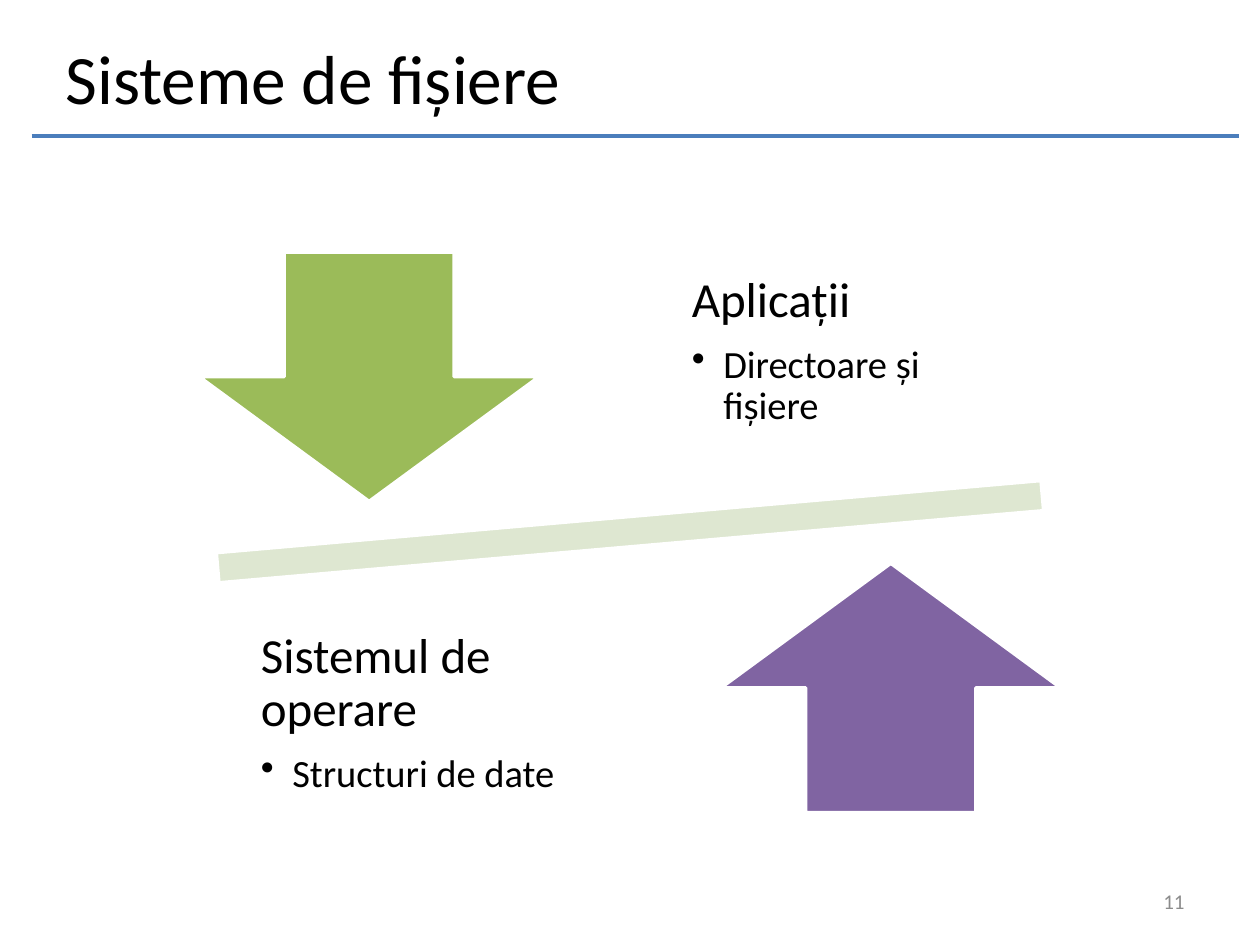
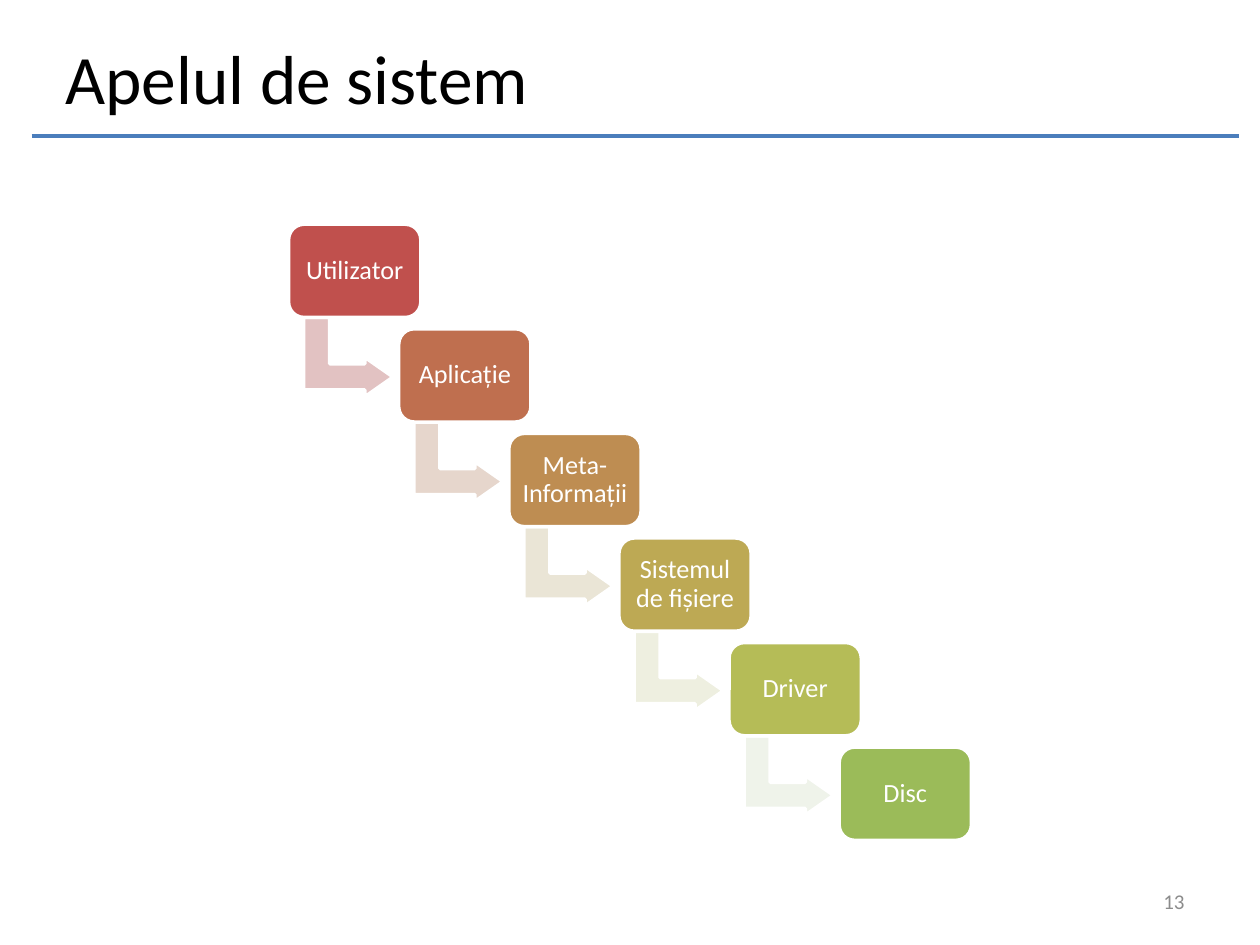
import pptx
import pptx.dml.color
import pptx.enum.shapes
import pptx.enum.text
import pptx.oxml.ns
import pptx.util
from lxml import etree

Inches = pptx.util.Inches
Pt = pptx.util.Pt
Shape = pptx.enum.shapes.MSO_SHAPE
Align = pptx.enum.text.PP_ALIGN
Anchor = pptx.enum.text.MSO_ANCHOR
qn = pptx.oxml.ns.qn


def color(code):
    return pptx.dml.color.RGBColor.from_string(code)


class Deck:
    """Hold the shared style and the current slide, and draw elements on it."""

    font = "Calibri"
    ink = "000000"
    paper = "FFFFFF"
    rule = "4B7EBC"
    gray = "8C8C8C"

    def __init__(self):
        self.file = pptx.Presentation()
        self.file.slide_width = Inches(10)
        self.file.slide_height = Inches(7.5)
        self.slide = None

    def start(self, title, number):
        self.slide = self.file.slides.add_slide(self.file.slide_layouts[5])
        self.line(0.25, 1.08, 9.83, 1.08)
        head = self.slide.shapes.title
        head.left, head.top = Inches(0.42), Inches(0.3)
        head.width, head.height = Inches(7.83), Inches(0.62)
        self.fill(head.text_frame, [title], [39.6], self.ink)
        self.text(7.17, 6.95, 2.33, 0.4, [str(number)], [12], self.gray,
                  align=Align.RIGHT)

    def line(self, x1, y1, x2, y2):
        ends = [Inches(n) for n in (x1, y1, x2, y2)]
        line = self.slide.shapes.add_connector(
            pptx.enum.shapes.MSO_CONNECTOR.STRAIGHT, *ends)
        line.line.color.rgb = color(self.rule)
        line.line.width = Pt(2)
        etree.SubElement(line._element.spPr, qn("a:effectLst"))

    def shape(self, kind, x, y, wide, high, fill, turn=0, adjust=()):
        box = [Inches(n) for n in (x, y, wide, high)]
        shape = self.slide.shapes.add_shape(kind, *box)
        shape.shadow.inherit = False
        shape.fill.solid()
        shape.fill.fore_color.rgb = color(fill)
        shape.line.color.rgb = color(self.paper)
        shape.line.width = Pt(2)
        shape.rotation = turn
        for index, value in enumerate(adjust):
            shape.adjustments[index] = value
        return shape

    def text(self, x, y, wide, high, lines, sizes, ink, **style):
        box = [Inches(n) for n in (x, y, wide, high)]
        frame = self.slide.shapes.add_textbox(*box).text_frame
        self.fill(frame, lines, sizes, ink, **style)

    def fill(self, frame, lines, sizes, ink, align=Align.LEFT, inset=None,
             tight=False):
        frame.word_wrap = True
        frame.auto_size = pptx.enum.text.MSO_AUTO_SIZE.NONE
        frame.vertical_anchor = Anchor.MIDDLE
        if inset is not None:
            frame.margin_left = frame.margin_right = Inches(inset)
            frame.margin_top = frame.margin_bottom = Inches(inset)
        for index, (line, size) in enumerate(zip(lines, sizes)):
            para = frame.paragraphs[0] if index == 0 else frame.add_paragraph()
            para.text = line
            if index:
                self.bullet(para)
            para.alignment = align
            if tight:
                para.line_spacing = 0.9
                para.space_after = Pt(round(size * (0.15 if index else 0.35), 1))
            para.font.name = self.font
            para.font.size = Pt(size)
            para.font.color.rgb = color(ink)

    def bullet(self, para):
        para.level = 1
        props = para._p.get_or_add_pPr()
        props.set("marL", str(Inches(0.25)))
        props.set("indent", str(-Inches(0.25)))
        etree.SubElement(props, qn("a:buChar")).set("char", "•")

    def side(self, x, y, head, item):
        self.text(x, y, 2.88, 2.08, [head, item], [28, 22], self.ink,
                  inset=0.22, tight=True)

    def step(self, x, y, label, fill):
        card = self.shape(Shape.ROUNDED_RECTANGLE, x, y, 1.05, 0.74, fill,
                          adjust=[0.167])
        self.fill(card.text_frame, [label], [15], self.paper,
                  align=Align.CENTER, inset=0.06, tight=True)


def files(deck):
    deck.start("Sisteme de fișiere", 11)
    deck.shape(Shape.MATH_MINUS, 0.53, 3.71, 8.94, 1.02, "DEE7D1", turn=355)
    deck.shape(Shape.DOWN_ARROW, 1.58, 2, 2.7, 1.98, "9BBB59")
    deck.side(5.27, 1.75, "Aplicații", "Directoare și fișiere")
    deck.shape(Shape.UP_ARROW, 5.72, 4.47, 2.7, 1.98, "8064A2")
    deck.side(1.85, 4.62, "Sistemul de operare", "Structuri de date")


def calls(deck):
    deck.start("Apelul de sistem", 13)
    steps = [
        ("Utilizator", "C0504D", "E2C2C2"),
        ("Aplicație", "BF6F4F", "E6D6CC"),
        ("Meta-Informații", "BE8D52", "EAE5D6"),
        ("Sistemul de fișiere", "BDA954", "EEEFE0"),
        ("Driver", "B5BC57", "EFF3EA"),
        ("Disc", "9BBB59", None),
    ]
    for index, (label, fill, pale) in enumerate(steps):
        x = 2.29 + index * 0.874
        y = 1.78 + index * 0.83
        if pale:
            deck.shape(Shape.BENT_UP_ARROW, x + 0.16, y + 0.7, 0.63, 0.71, pale,
                       turn=90, adjust=[0.328, 0.25, 0.358])
        deck.step(x, y, label, fill)


def main():
    deck = Deck()
    files(deck)
    calls(deck)
    deck.file.save("out.pptx")


if __name__ == "__main__":
    main()
